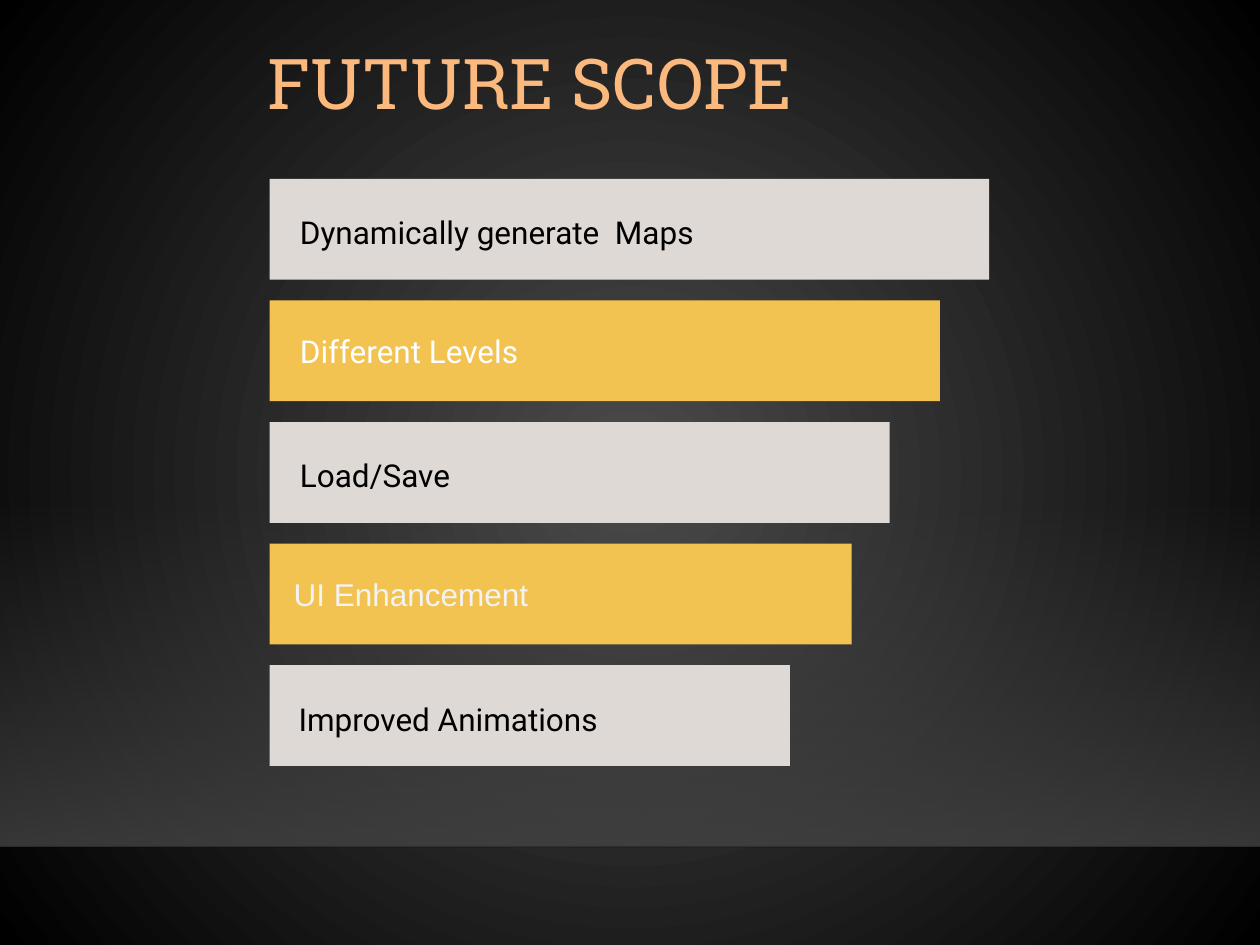
from lxml import etree
from pptx import Presentation
from pptx import util as u
from pptx.dml.color import RGBColor
from pptx.enum import shapes, text
from pptx.oxml import parse_xml
from pptx.oxml.ns import nsdecls, qn

LIGHT, GOLD = "DFD9D5", "F2C351"
BAR_LEFT, BAR_TOP, BAR_HEIGHT = 2.14, 1.42, 0.8
BAR_STEP = (5.28 - BAR_TOP) / 4
# label, bar width, bar colour, text colour, font, left inset, line spacing
BARS = [
    ("Dynamically generate  Maps", 5.71, LIGHT, "000000", "Roboto", 0.24, 1.15),
    ("Different Levels", 5.32, GOLD, "FFFFFF", "Roboto", 0.24, 1.0),
    ("Load/Save", 4.92, LIGHT, "000000", "Roboto", 0.24, 1.15),
    ("UI Enhancement", 4.62, GOLD, "F3F3F3", "Arial", 0.19, 1.0),
    ("Improved Animations", 4.13, LIGHT, "000000", "Roboto", 0.23, 1.15),
]


def colour(value):
    return RGBColor.from_string(value)


def set_gradient(properties, stops, direction):
    """Replace the solid fill by a gradient; stops are (position, colour, opacity) in percent."""
    stop_xml = "".join(
        f'<a:gs pos="{position * 1000}"><a:srgbClr val="{value}">'
        f'<a:alpha val="{opacity * 1000}"/></a:srgbClr></a:gs>'
        for position, value, opacity in stops)
    gradient = parse_xml(f'<a:gradFill {nsdecls("a")} rotWithShape="1">'
                         f'<a:gsLst>{stop_xml}</a:gsLst>{direction}</a:gradFill>')
    properties.replace(properties.find(qn("a:solidFill")), gradient)


def style_text(frame, font, size, value, spacing):
    para = frame.paragraphs[0]
    para.line_spacing = spacing
    for span in para.runs:
        span.font.name = font
        span.font.size = u.Pt(size)
        span.font.color.rgb = colour(value)
    return para


def add_rectangle(page, left, top, width, height, fill):
    box = page.shapes.add_shape(
        shapes.MSO_SHAPE.RECTANGLE, u.Inches(left), u.Inches(top),
        u.Inches(width), u.Inches(height))
    box.shadow.inherit = False
    box.fill.solid()
    box.fill.fore_color.rgb = colour(fill)
    box.line.fill.background()
    return box


def add_backdrop(page):
    page.background.fill.solid()
    set_gradient(
        page.element.find(".//" + qn("p:bgPr")),
        [(0, "4B4B4B", 100), (100, "000000", 100)],
        '<a:path path="circle"><a:fillToRect l="50000" t="50000" r="50000" b="50000"/></a:path>')


def add_floor(page, left, top, width, height):
    floor = add_rectangle(page, left, top, width, height, "454545")
    set_gradient(floor.element.spPr, [(0, "454545", 0), (100, "454545", 80)],
                 '<a:lin ang="5400000" scaled="0"/>')
    bottom = u.Inches(top + height)
    edge = page.shapes.add_connector(
        shapes.MSO_CONNECTOR.STRAIGHT, u.Inches(left), bottom, u.Inches(left + width), bottom)
    edge.line.width = u.Pt(1)
    edge.line.color.rgb = colour("000001")
    properties = edge.element.spPr
    tint = properties.find(".//" + qn("a:srgbClr"))
    etree.SubElement(tint, qn("a:alpha"), val="20000")
    etree.SubElement(properties, qn("a:effectLst"))


def add_title(page, left, top, width, height):
    title = page.shapes.title
    title.left, title.top = u.Inches(left), u.Inches(top)
    title.width, title.height = u.Inches(width), u.Inches(height)
    frame = title.text_frame
    frame.text = "FUTURE SCOPE"
    frame.vertical_anchor = text.MSO_ANCHOR.MIDDLE
    para = style_text(frame, "Roboto Slab", 40, "FCB97D", 0.9)
    para.alignment = text.PP_ALIGN.CENTER


def add_bars(page, left, top):
    for row, (label, width, fill, ink, font, inset, spacing) in enumerate(BARS):
        bar = add_rectangle(page, left, top + row * BAR_STEP, width, BAR_HEIGHT, fill)
        frame = bar.text_frame
        frame.text = label
        frame.word_wrap = True
        frame.margin_left = u.Inches(inset)
        frame.vertical_anchor = text.MSO_ANCHOR.MIDDLE
        para = style_text(frame, font, 18, ink, spacing)
        para.alignment = text.PP_ALIGN.LEFT


def main():
    deck = Presentation()
    deck.slide_width, deck.slide_height = u.Inches(10), u.Inches(7.5)
    page = deck.slides.add_slide(deck.slide_layouts[5])
    add_backdrop(page)
    add_floor(page, 0, 3.96, 10, 2.76)
    add_bars(page, BAR_LEFT, BAR_TOP)
    add_title(page, 1.05, 0.13, 6.31, 1.12)
    deck.save("out.pptx")


if __name__ == "__main__":
    main()
